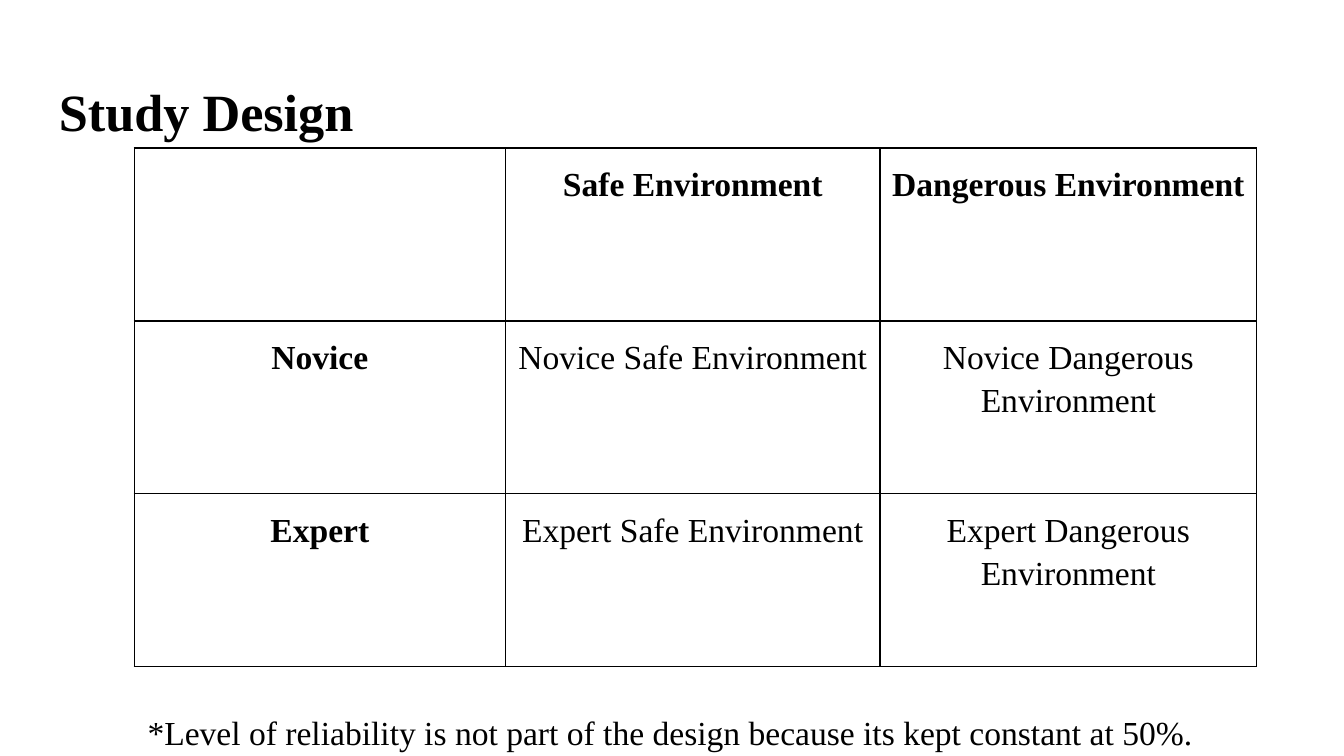
"""Build the study design slide: a title, a two-by-two condition table and a footnote."""
from lxml.etree import SubElement
from pptx import Presentation
from pptx.dml.color import RGBColor
from pptx.enum.text import MSO_ANCHOR, PP_ALIGN
from pptx.oxml.ns import qn
from pptx.util import Inches, Pt

BLACK = "000000"
WHITE = "FFFFFF"


def style_text(frame, size, bold=False, color=BLACK):
    frame.word_wrap = True
    frame.margin_top = frame.margin_bottom = Inches(0.1)
    for para in frame.paragraphs:
        for span in para.runs:
            span.font.name = "Times New Roman"
            span.font.size = Pt(size)
            span.font.bold = bold
            span.font.color.rgb = RGBColor.from_string(color)


def add_borders(cell, color=BLACK, width=1):
    properties = cell._tc.get_or_add_tcPr()
    for position, side in enumerate(("a:lnL", "a:lnR", "a:lnT", "a:lnB")):
        line = SubElement(properties, qn(side), w=str(Pt(width)))
        fill = SubElement(line, qn("a:solidFill"))
        SubElement(fill, qn("a:srgbClr"), val=color)
        properties.insert(position, line)


deck = Presentation()
deck.slide_width = Inches(10)
deck.slide_height = Inches(10) * 9 // 16
page = deck.slides.add_slide(deck.slide_layouts[6])
page.background.fill.solid()
page.background.fill.fore_color.rgb = RGBColor.from_string(WHITE)

title = page.shapes.add_textbox(Inches(0.34), Inches(0.49), Inches(9.32), Inches(0.63))
title.text_frame.text = "Study Design"
style_text(title.text_frame, 28, bold=True)

environments = ["Safe Environment", "Dangerous Environment"]
rows = [["", *environments]]
for level in ("Novice", "Expert"):
    rows.append([level] + [f"{level} {environment}" for environment in environments])

table = page.shapes.add_table(3, 3, Inches(1), Inches(1.1), Inches(8.35), Inches(3.86)).table
table.first_row = False
table.horz_banding = False
for column, width in zip(table.columns, (2.76, 2.79, 2.8)):
    column.width = Inches(width)

for row_index, texts in enumerate(rows):
    table.rows[row_index].height = Inches(3.86) // 3
    for column_index, text in enumerate(texts):
        cell = table.cell(row_index, column_index)
        cell.fill.background()
        cell.margin_left = cell.margin_right = Inches(0.07)
        cell.margin_top = cell.margin_bottom = Inches(0.1)
        add_borders(cell)
        if text:
            cell.text_frame.text = text
            para = cell.text_frame.paragraphs[0]
            para.alignment = PP_ALIGN.CENTER
            para.line_spacing = 1.15
            for span in para.runs:
                span.font.name = "Times New Roman"
                span.font.size = Pt(18)
                span.font.bold = row_index == 0 or column_index == 0
                span.font.color.rgb = RGBColor.from_string(BLACK)

footnote = page.shapes.add_textbox(Inches(1), Inches(5.26), Inches(8.13), Inches(0.33))
footnote.text_frame.text = (
    "*Level of reliability is not part of the design because its kept constant at 50%."
)
footnote.text_frame.vertical_anchor = MSO_ANCHOR.MIDDLE
footnote.text_frame.paragraphs[0].line_spacing = 1.15
footnote.text_frame.paragraphs[0].space_after = Pt(16)
style_text(footnote.text_frame, 18)

deck.save("out.pptx")
